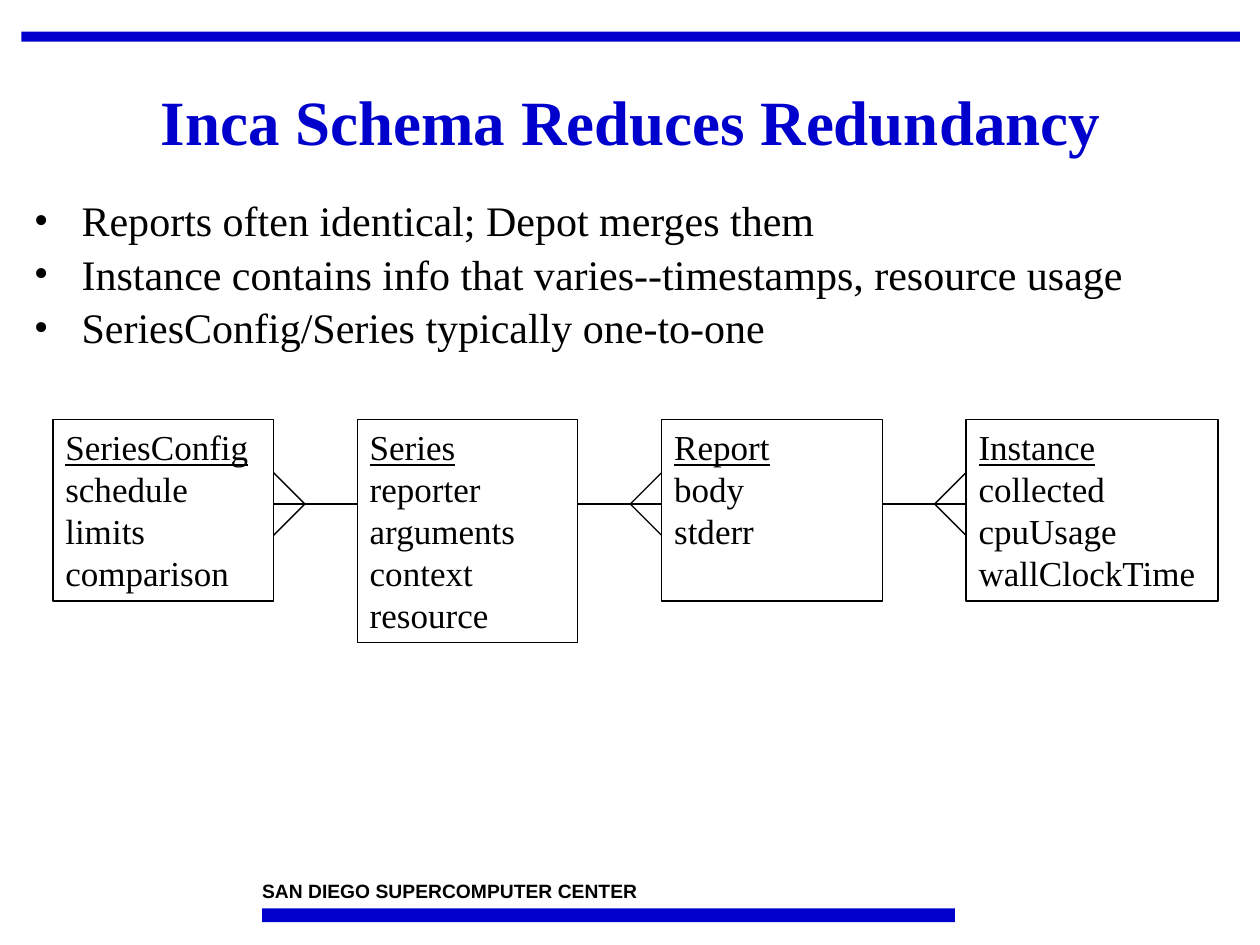
from lxml import etree
from pptx import Presentation, util as u
from pptx.dml.color import RGBColor
from pptx.enum import shapes, text
from pptx.oxml.ns import qn

BLUE, BLACK = "0000CC", "000000"
SERIF, SANS = "Times New Roman", "Arial"
MARGIN, BAND = 0.17, 9.67
FIRST_COLUMN, COLUMN_STEP, TABLE_TOP = 0.42, 2.416, 3.33
LINK_Y, FORK = 4, 0.25
POINTS = [
    "Reports often identical; Depot merges them",
    "Instance contains info that varies--timestamps, resource usage",
    "SeriesConfig/Series typically one-to-one",
]
ENTITIES = [
    (1.75, 1.44, ["SeriesConfig", "schedule limits", "comparison"]),
    (1.75, 1.77, ["Series", "reporter", "arguments", "context", "resource"]),
    (1.75, 1.44, ["Report", "body", "stderr"]),
    (2, 1.44, ["Instance", "collected", "cpuUsage", "wallClockTime"]),
]


def color(value):
    """Turn a hex string into a colour."""
    return RGBColor.from_string(value)


def inches(*lengths):
    """Convert lengths in inches."""
    return [u.Inches(length) for length in lengths]


def apply(target, formats):
    """Set every attribute in a dict of format values."""
    for name, value in formats.items():
        setattr(target, name, value)


def write(frame, lines, size, hue=BLACK, name=SERIF, bold=False, inset=(0.1, 0.05), **layout):
    """Fill a text frame with evenly formatted paragraphs."""
    side, edge = inches(*inset)
    apply(frame, dict(word_wrap=True, auto_size=text.MSO_AUTO_SIZE.NONE,
                      vertical_anchor=text.MSO_ANCHOR.TOP, margin_left=side,
                      margin_right=side, margin_top=edge, margin_bottom=edge))
    frame.text = "\n".join(lines)
    for paragraph in frame.paragraphs:
        apply(paragraph, {"alignment": text.PP_ALIGN.LEFT, **layout})
        for run in paragraph.runs:
            apply(run.font, dict(size=u.Pt(size), name=name, bold=bold))
            run.font.color.rgb = color(hue)


def add_bar(slide, *place):
    """Draw a solid blue rule."""
    bar = slide.shapes.add_shape(shapes.MSO_SHAPE.RECTANGLE, *inches(*place))
    bar.shadow.inherit = False
    bar.fill.solid()
    bar.fill.fore_color.rgb = color(BLUE)
    bar.line.fill.background()


def add_title(slide, heading):
    """Place and format the title."""
    title = slide.shapes.title
    apply(title, dict(zip(("left", "top", "width", "height"), inches(MARGIN, 0.42, BAND, 1.14))))
    write(title.text_frame, [heading], 36, BLUE, bold=True,
          alignment=text.PP_ALIGN.CENTER, line_spacing=0.9)
    title.text_frame.vertical_anchor = text.MSO_ANCHOR.MIDDLE


def add_bullets(slide, points):
    """Add the bulleted list with hanging indents."""
    box = slide.shapes.add_textbox(*inches(MARGIN, 1.56, BAND, 1.44))
    write(box.text_frame, points, 24, line_spacing=0.85)
    for index, paragraph in enumerate(box.text_frame.paragraphs):
        paragraph.space_before = u.Pt(6 if index else 0)
        properties = paragraph._p.get_or_add_pPr()
        properties.set("marL", str(u.Inches(0.38)))
        properties.set("indent", str(-u.Inches(0.38)))
        etree.SubElement(properties, qn("a:buFont")).set("typeface", SERIF)
        etree.SubElement(properties, qn("a:buChar")).set("char", "•")


def add_entity(slide, left, width, height, lines):
    """Draw an entity box with an underlined name above its fields."""
    entity = slide.shapes.add_shape(
        shapes.MSO_SHAPE.RECTANGLE, *inches(left, TABLE_TOP, width, height))
    entity.shadow.inherit = False
    entity.fill.background()
    entity.line.color.rgb = color(BLACK)
    entity.line.width = u.Pt(0.75)
    write(entity.text_frame, lines, 20)
    entity.text_frame.paragraphs[0].runs[0].font.underline = True


def add_link(slide, many, one):
    """Draw a grouped crow's foot link from its many end to its one end."""
    group = slide.shapes.add_group_shape()
    tip = many + (FORK if one > many else -FORK)
    strokes = [(many, LINK_Y, one, LINK_Y)]
    strokes += [(tip, LINK_Y, many, LINK_Y + rise) for rise in (-FORK, FORK)]
    for stroke in strokes:
        line = group.shapes.add_connector(shapes.MSO_CONNECTOR.STRAIGHT, *inches(*stroke))
        line.line.color.rgb = color(BLACK)
        line.line.width = u.Pt(0.75)
        etree.SubElement(line._element.spPr, qn("a:effectLst"))


def add_footer(slide):
    """Add the centre's name above the lower rule."""
    add_bar(slide, 2.08, 7.21, 5.5, 0.11)
    label = slide.shapes.add_textbox(*inches(2.08, 6.98, 3.75, 0.18))
    write(label.text_frame, ["SAN DIEGO SUPERCOMPUTER CENTER"], 11,
          name=SANS, bold=True, inset=(0, 0))


def main():
    """Build and save the slide."""
    deck = Presentation()
    deck.slide_width, deck.slide_height = inches(10, 7.5)
    slide = deck.slides.add_slide(deck.slide_layouts[5])
    add_bar(slide, MARGIN, 0.25, BAND, 0.08)
    add_footer(slide)
    add_title(slide, "Inca Schema Reduces Redundancy")
    add_bullets(slide, POINTS)
    lefts = [FIRST_COLUMN + COLUMN_STEP * column for column in range(len(ENTITIES))]
    for left, entity in zip(lefts, ENTITIES):
        add_entity(slide, left, *entity)
    gaps = [(left + width, following)
            for left, (width, _, _), following in zip(lefts, ENTITIES, lefts[1:])]
    add_link(slide, *gaps[0])
    for one, many in gaps[1:]:
        add_link(slide, many, one)
    deck.save("out.pptx")


if __name__ == "__main__":
    main()
